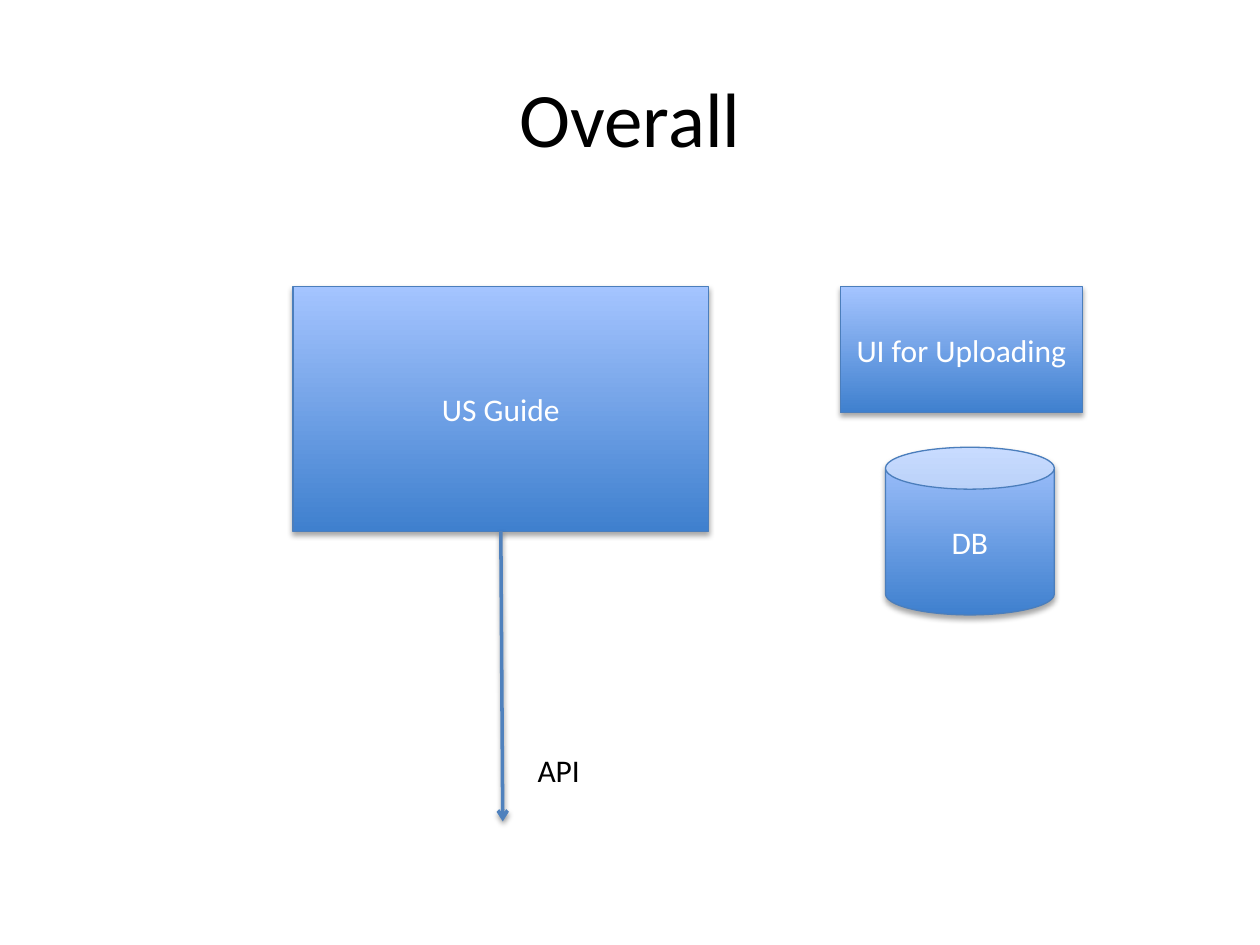
from lxml.etree import SubElement as Sub
from pptx import Presentation
from pptx.dml.color import RGBColor
from pptx.enum.shapes import MSO_CONNECTOR as Link, MSO_SHAPE as Kind
from pptx.enum.text import MSO_ANCHOR as Anchor, MSO_AUTO_SIZE as Fit, PP_ALIGN as Align
from pptx.oxml.ns import qn
from pptx.util import Pt

BLACK = RGBColor(0x00, 0x00, 0x00)
WHITE = RGBColor(0xFF, 0xFF, 0xFF)
DARK = RGBColor(0x3F, 0x80, 0xCE)
LIGHT = RGBColor(0xA4, 0xC4, 0xFF)
EDGE = RGBColor(0x4B, 0x7E, 0xBC)
BLUE = RGBColor(0x4F, 0x81, 0xBD)

# Content: text, then left, top, width, height in points
TITLE = ("Overall", (36, 21.6, 648, 90))
TOP = 163.9
NODES = [
    ("US Guide", Kind.RECTANGLE, (167.4, TOP, 237.6, 139.68)),
    ("UI for Uploading", Kind.RECTANGLE, (480.2, TOP, 138.4, 72)),
    ("DB", Kind.CAN, (506, 255.6, 96.5, 95.8)),
]
LABEL = ("API", (300.1, 425.52, 38.9, 29.08))
TIP = (287.3, 469.4)

BODY = {"size": Pt(18), "name": "Calibri"}
HEAD = {"size": Pt(44), "name": "Calibri"}


def write(shape, text, font, color, align, anchor):
    frame = shape.text_frame
    frame.text = text
    frame.vertical_anchor = anchor
    para = frame.paragraphs[0]
    para.alignment = align
    run = para.runs[0]
    for key, value in font.items():
        setattr(run.font, key, value)
    run.font.color.rgb = color


def place(shape, box):
    for key, value in zip(("left", "top", "width", "height"), box):
        setattr(shape, key, Pt(value))


def shade(shape, dist, alpha):
    """Add a soft black shadow straight below."""
    props = shape._element.spPr
    effects = Sub(props, qn("a:effectLst"))
    outer = Sub(effects, qn("a:outerShdw"), blurRad=str(Pt(3.1)),
                dist=str(Pt(dist)), dir="5400000", rotWithShape="0")
    color = Sub(outer, qn("a:srgbClr"), val="000000")
    Sub(color, qn("a:alpha"), val=str(alpha * 1000))


def add_node(slide, text, kind, box):
    node = slide.shapes.add_shape(kind, *map(Pt, box))
    node.fill.gradient()
    node.fill.gradient_angle = 90
    for stop, color in zip(node.fill.gradient_stops, (DARK, LIGHT)):
        stop.color.rgb = color
    node.line.color.rgb = EDGE
    node.line.width = Pt(0.75)
    shade(node, 1.8, 35)
    write(node, text, BODY, WHITE, Align.CENTER, Anchor.MIDDLE)


def add_arrow(slide, start, end):
    arrow = slide.shapes.add_connector(Link.STRAIGHT, *map(Pt, start + end))
    arrow.line.color.rgb = BLUE
    arrow.line.width = Pt(2)
    Sub(arrow.line._get_or_add_ln(), qn("a:tailEnd"), type="arrow")
    shade(arrow, 1.6, 38)


def main():
    deck = Presentation()
    deck.slide_width, deck.slide_height = Pt(720), Pt(540)
    slide = deck.slides.add_slide(deck.slide_layouts[5])

    # Title
    text, box = TITLE
    place(slide.shapes.title, box)
    write(slide.shapes.title, text, HEAD, BLACK, Align.CENTER, Anchor.MIDDLE)

    # Parts of the system
    for node in NODES:
        add_node(slide, *node)

    # Arrow from the middle of the main box down to the API
    left, top, width, height = NODES[0][2]
    add_arrow(slide, (left + width / 2, top + height), TIP)

    text, box = LABEL
    label = slide.shapes.add_textbox(*map(Pt, box))
    write(label, text, BODY, BLACK, Align.LEFT, Anchor.TOP)
    label.text_frame.word_wrap = False
    label.text_frame.auto_size = Fit.SHAPE_TO_FIT_TEXT

    deck.save("out.pptx")


if __name__ == "__main__":
    main()
